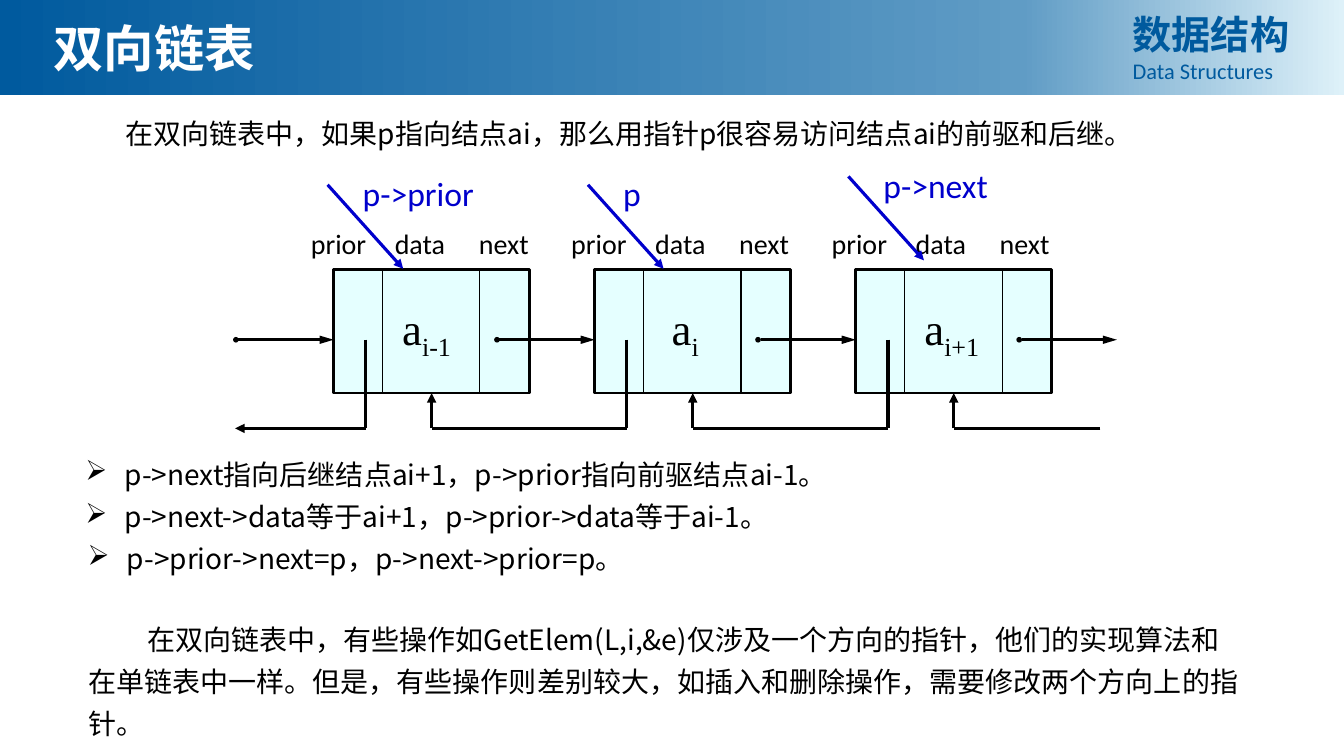
from copy import deepcopy

from lxml.etree import SubElement
from pptx import Presentation
from pptx.dml.color import RGBColor
from pptx.enum.shapes import MSO_CONNECTOR as Connector, MSO_SHAPE as Shape
from pptx.enum.text import MSO_ANCHOR as Anchor, PP_ALIGN as Align
from pptx.oxml.ns import qn
from pptx.util import Pt

TITLE = "双向链表"
COURSE = [("数据结构", 28, "Noto Sans CJK SC", True), ("Data Structures", 16, "Calibri", False)]
INTRO = "在双向链表中，如果p指向结点ai，那么用指针p很容易访问结点ai的前驱和后继。"
NODES = [("i-1", 49), ("i", 55), ("i+1", 49)]
FIELDS = ["prior", "data", "next"]
POINTERS = [("p->prior", 132), ("p", 132), ("p->next", 126)]
FACTS = [
    ("p->next指向后继结点ai+1，p->prior指向前驱结点ai-1。", 54),
    ("p->next->data等于ai+1，p->prior->data等于ai-1。", 54),
    ("p->prior->next=p，p->next->prior=p。", 55.5),
]
SUMMARY = (
    "在双向链表中，有些操作如GetElem(L,i,&e)仅涉及一个方向的指针，"
    "他们的实现算法和在单链表中一样。但是，有些操作则差别较大，"
    "如插入和删除操作，需要修改两个方向上的指针。"
)
COLORS = {"ink": "000000", "pointer": "0000CC", "node": "CCFFFF", "white": "FFFFFF", "course": "005A9E"}
BANNER_STOPS = [(0, "005A9E"), (0.76, "609CC5"), (1, "DEF1F9")]
CJK, LATIN, SERIF = "Noto Sans CJK SC", "Calibri", "Times New Roman"

NODE_LEFT, NODE_TOP, NODE_WIDTH, NODE_HEIGHT, NODE_PITCH = 238.3, 192.3, 139.7, 88.5, 186.5
NODE_BOTTOM = NODE_TOP + NODE_HEIGHT
DIVIDERS = (34.7, 104.5)
PRIOR_X, BACK_X, NEXT_X = 23, 70, 116.7
LINK_Y, RETURN_Y = 242.7, 306
LABEL_LEFT, LABEL_PITCH, FIELD_PITCH = 222, 186, 60

deck = Presentation()
deck.slide_width, deck.slide_height = Pt(960), Pt(540)
page = deck.slides.add_slide(deck.slide_layouts[5])


def rgb(name):
    return RGBColor.from_string(COLORS[name])


def style(para, size, font, color, bold=False):
    para.font.size = Pt(size)
    para.font.bold = bold
    para.font.name = font
    para.font.color.rgb = rgb(color)
    properties = para.font._element
    properties.find(qn("a:latin")).addnext(SubElement(properties, qn("a:ea"), typeface=font))


def set_frame(box, left_inset=7.2, inset=3.6):
    frame = box.text_frame
    frame.word_wrap = True
    frame.vertical_anchor = Anchor.MIDDLE
    frame.margin_left = Pt(left_inset)
    frame.margin_top = frame.margin_bottom = Pt(inset)
    return frame


def add_text(text, left, top, width, height, size, font, color="ink", **insets):
    box = page.shapes.add_textbox(Pt(left), Pt(top), Pt(width), Pt(height))
    para = set_frame(box, **insets).paragraphs[0]
    para.text = text
    style(para, size, font, color)
    return para


def indent(para, first, margin=0):
    properties = para._p.get_or_add_pPr()
    properties.set("marL", str(Pt(margin)))
    properties.set("indent", str(Pt(first)))
    return properties


def add_line(start, end, weight, color="ink", arrow=None, dot=False):
    line = page.shapes.add_connector(Connector.STRAIGHT, *(Pt(value) for value in (*start, *end)))
    line.line.color.rgb = rgb(color)
    line.line.width = Pt(weight)
    outline = line.line._get_or_add_ln()
    if dot:
        SubElement(outline, qn("a:headEnd"), type="oval", w="sm", len="sm")
    if arrow:
        SubElement(outline, qn("a:tailEnd"), type="triangle", w="med", len=arrow)
    SubElement(line._element.spPr, qn("a:effectLst"))


def add_node(left, subscript, text_inset):
    node = page.shapes.add_shape(Shape.RECTANGLE, Pt(left), Pt(NODE_TOP), Pt(NODE_WIDTH), Pt(NODE_HEIGHT))
    node.shadow.inherit = False
    node.fill.solid()
    node.fill.fore_color.rgb = rgb("node")
    SubElement(node._element.spPr.find(".//" + qn("a:srgbClr")), qn("a:alpha"), val="50000")
    node.line.color.rgb = rgb("ink")
    node.line.width = Pt(2)
    para = set_frame(node, left_inset=text_inset).paragraphs[0]
    para.alignment = Align.LEFT
    style(para, 32, SERIF, "ink")
    for text in ("a", subscript):
        span = para.add_run()
        span.text = text
    span.font._element.set("baseline", "-25000")
    for offset in DIVIDERS:
        add_line((left + offset, NODE_TOP), (left + offset, NODE_BOTTOM), 0.75)


def add_banner():
    banner = page.shapes.add_shape(Shape.RECTANGLE, 0, 0, deck.slide_width, Pt(68))
    banner.shadow.inherit = False
    banner.line.fill.background()
    banner.fill.gradient()
    banner.fill.gradient_angle = 0
    stops = banner._element.spPr.find(".//" + qn("a:gsLst"))
    stops.append(deepcopy(stops[-1]))
    for stop, (position, color) in zip(banner.fill.gradient_stops, BANNER_STOPS):
        stop.position = position
        stop.color.rgb = RGBColor.from_string(color)
    page.shapes._spTree.insert(2, banner._element)


add_banner()

title = page.shapes.title
title.left, title.top, title.width, title.height = Pt(31), Pt(8.6), Pt(235), Pt(51)
title_para = set_frame(title).paragraphs[0]
title_para.text = TITLE
title_para.alignment = Align.LEFT
style(title_para, 36, CJK, "white", True)

course_frame = set_frame(page.shapes.add_textbox(Pt(802), Pt(3.6), Pt(137.5), Pt(60.5)))
for number, (text, size, font, bold) in enumerate(COURSE):
    para = course_frame.add_paragraph() if number else course_frame.paragraphs[0]
    para.text = text
    para.alignment = Align.JUSTIFY
    style(para, size, font, "course", bold)

indent(add_text(INTRO, 48, 79, 793.5, 32, 20, CJK), 34.5)

for number, (subscript, text_inset) in enumerate(NODES):
    left = NODE_LEFT + number * NODE_PITCH
    add_node(left, subscript, text_inset)

for number in range(len(NODES) + 1):
    left = NODE_LEFT + number * NODE_PITCH
    previous = left - NODE_PITCH
    add_line((previous + NEXT_X, LINK_Y), (left, LINK_Y), 2, arrow="lg", dot=True)
    is_first, is_last = number == 0, number == len(NODES)
    start_x = 786 if is_last else left + PRIOR_X
    end_x = 168 if is_first else previous + BACK_X
    if not is_last:
        add_line((start_x, LINK_Y), (start_x, RETURN_Y), 2.25)
    add_line((start_x, RETURN_Y), (end_x, RETURN_Y), 2.25, arrow="med" if is_first else None)
    if not is_first:
        add_line((end_x, RETURN_Y), (end_x, NODE_BOTTOM), 2.25, arrow="med")

for number, (pointer, top) in enumerate(POINTERS):
    left = LABEL_LEFT + number * LABEL_PITCH
    for column, field in enumerate(FIELDS):
        add_text(field, left + column * FIELD_PITCH, 162, 48, 24, 20, LATIN, left_inset=0, inset=0)
    add_line((left + 12, top), (left + 66, top + 60), 2.25, "pointer", arrow="med")
    add_text(pointer, left + 30, top - 12, 114, 36, 24, LATIN, "pointer")

for number, (fact, left) in enumerate(FACTS):
    para = add_text(fact, left, 322.6 + number * 30.2, 648, 32, 20, CJK)
    bullet = SubElement(indent(para, -28, 28), qn("a:buChar"), char="➢")
    para._p.pPr.insert(0, bullet)

summary_para = add_text(SUMMARY, 56, 435, 836, 97, 20, CJK)
summary_para.line_spacing = Pt(30)
indent(summary_para, 42)

deck.save("out.pptx")
